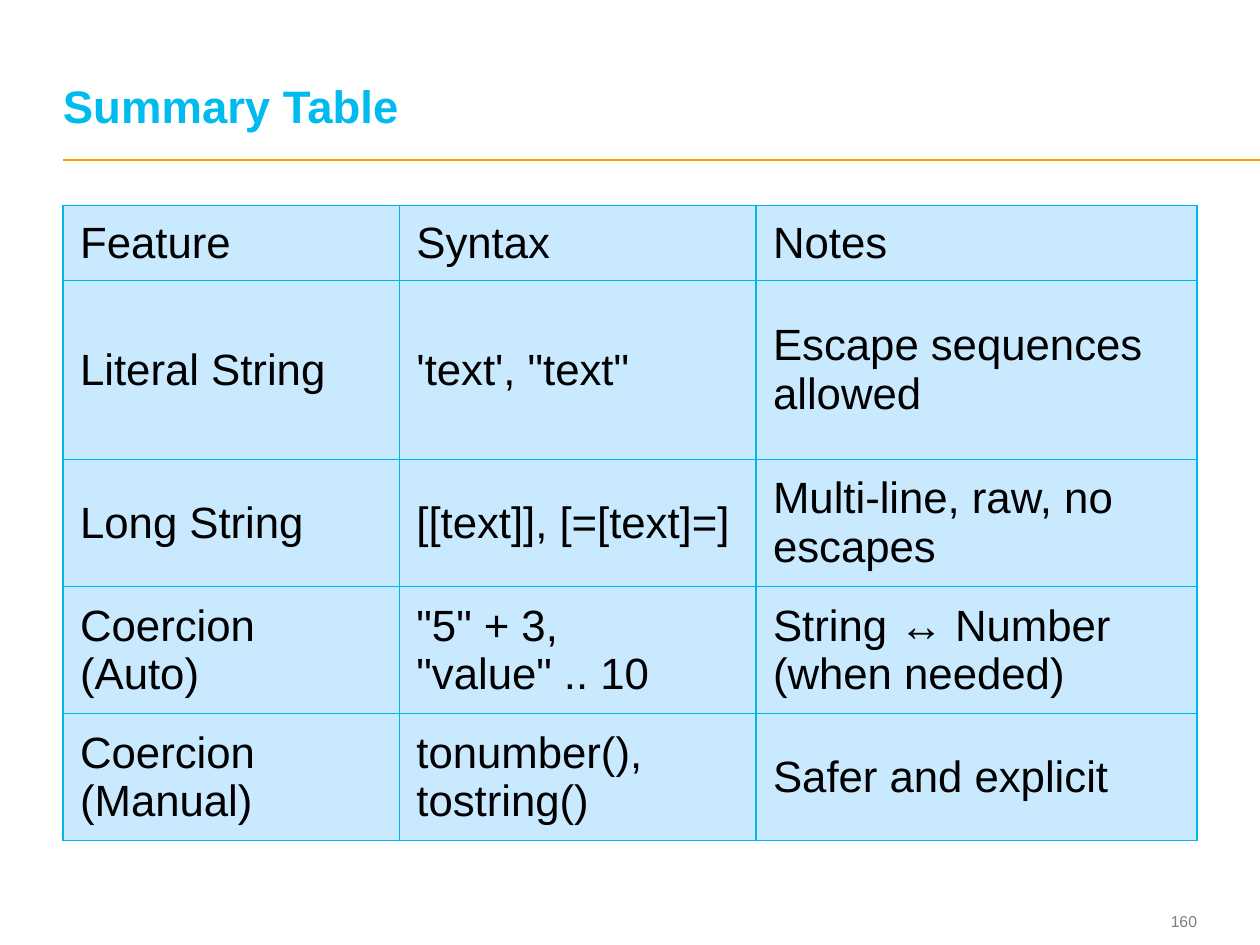
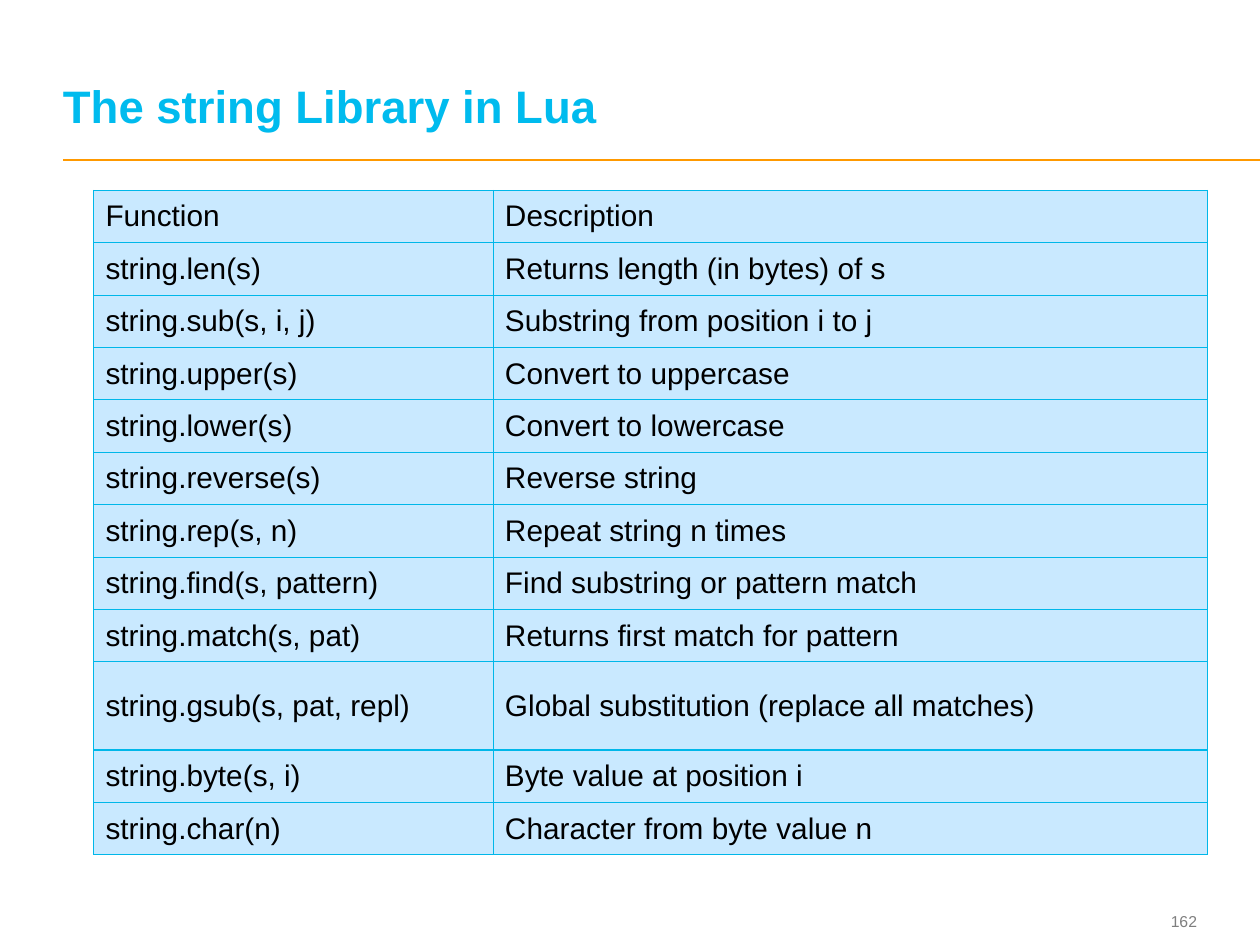
from dataclasses import dataclass

from lxml.etree import SubElement
from pptx import Presentation
from pptx.dml.color import RGBColor
from pptx.enum.shapes import MSO_CONNECTOR
from pptx.enum.text import MSO_ANCHOR, PP_ALIGN
from pptx.oxml.ns import qn
from pptx.util import Pt

SLIDES = [
    {
        "title": "Summary Table",
        "number": "160",
        "at": (36, 117.4),
        "cols": (192.2, 203.8, 252),
        "row_height": 72.6,
        "row_heights": {0: 43, 1: 102.3},
        "size": 25,
        "inset": (9.8, 4.9),
        "rows": [
            ("Feature", "Syntax", "Notes"),
            ("Literal String", "'text', \"text\"", "Escape sequences allowed"),
            ("Long String", "[[text]], [=[text]=]", "Multi-line, raw, no escapes"),
            ("Coercion (Auto)", '"5" + 3, "value" .. 10', "String ↔ Number (when needed)"),
            ("Coercion (Manual)", "tonumber(), tostring()", "Safer and explicit"),
        ],
    },
    {
        "title": "The string Library in Lua",
        "number": "162",
        "at": (53.6, 108.8),
        "cols": (228.3, 408.2),
        "row_height": 29.94,
        "row_heights": {9: 50.4},
        "size": 17,
        "inset": (6.7, 3.4),
        "rows": [
            ("Function", "Description"),
            ("string.len(s)", "Returns length (in bytes) of s"),
            ("string.sub(s, i, j)", "Substring from position i to j"),
            ("string.upper(s)", "Convert to uppercase"),
            ("string.lower(s)", "Convert to lowercase"),
            ("string.reverse(s)", "Reverse string"),
            ("string.rep(s, n)", "Repeat string n times"),
            ("string.find(s, pattern)", "Find substring or pattern match"),
            ("string.match(s, pat)", "Returns first match for pattern"),
            ("string.gsub(s, pat, repl)", "Global substitution (replace all matches)"),
            ("string.byte(s, i)", "Byte value at position i"),
            ("string.char(n)", "Character from byte value n"),
        ],
    },
]


@dataclass(frozen=True)
class Theme:
    font: str = "Arial"
    title: str = "00BBEE"
    rule: str = "FF9900"
    border: str = "00B7E9"
    cell: str = "C9E9FF"
    text: str = "000000"
    number: str = "7F7F7F"
    title_size: float = 26
    number_size: float = 9
    rule_width: float = 1
    border_width: float = 0.75


THEME = Theme()
WIDTH, HEIGHT = 720, 540
MARGIN = 36
RULE_Y = 91.4


def write(tf, text, *, size, color, bold=False, align=PP_ALIGN.LEFT, spacing=None):
    p = tf.paragraphs[0]
    p.alignment = align
    if spacing:
        p.line_spacing = Pt(spacing)
    r = p.add_run()
    r.text = text
    r.font.name = THEME.font
    r.font.size = Pt(size)
    r.font.bold = bold
    r.font.color.rgb = RGBColor.from_string(color)


def add_text(s, text, box, anchor, **fmt):
    tf = s.shapes.add_textbox(*map(Pt, box)).text_frame
    tf.word_wrap = True
    tf.vertical_anchor = anchor
    tf.margin_left = tf.margin_top = tf.margin_right = tf.margin_bottom = 0
    write(tf, text, **fmt)


def add_frame(s, title, number):
    """Add the rule, page number and title that every slide carries."""
    rule = s.shapes.add_connector(
        MSO_CONNECTOR.STRAIGHT, Pt(MARGIN), Pt(RULE_Y), Pt(WIDTH), Pt(RULE_Y))
    rule.line.color.rgb = RGBColor.from_string(THEME.rule)
    rule.line.width = Pt(THEME.rule_width)
    SubElement(rule._element.spPr, qn("a:effectLst"))
    add_text(s, number, (641.5, 517, 42.5, 19.4), MSO_ANCHOR.MIDDLE,
             size=THEME.number_size, color=THEME.number, align=PP_ALIGN.RIGHT)
    add_text(s, title, (MARGIN, 13.7, 645.8, 61.9), MSO_ANCHOR.BOTTOM,
             size=THEME.title_size, color=THEME.title, bold=True,
             spacing=THEME.title_size)


def set_borders(cell):
    tc_pr = cell._tc.get_or_add_tcPr()
    for side in ("lnL", "lnR", "lnT", "lnB"):
        ln = SubElement(tc_pr, qn(f"a:{side}"), w=str(Pt(THEME.border_width)))
        fill = SubElement(ln, qn("a:solidFill"))
        SubElement(fill, qn("a:srgbClr"), val=THEME.border)


def style_cell(cell, inset):
    set_borders(cell)
    cell.fill.solid()
    cell.fill.fore_color.rgb = RGBColor.from_string(THEME.cell)
    cell.vertical_anchor = MSO_ANCHOR.MIDDLE
    cell.margin_left = cell.margin_right = Pt(inset[0])
    cell.margin_top = cell.margin_bottom = Pt(inset[1])


def add_grid(s, data):
    rows, cols = data["rows"], data["cols"]
    heights = [data["row_heights"].get(i, data["row_height"]) for i in range(len(rows))]
    left, top = data["at"]
    table = s.shapes.add_table(len(rows), len(cols), Pt(left), Pt(top),
                               Pt(sum(cols)), Pt(sum(heights))).table
    table.first_row = table.horz_banding = False
    for col, width in zip(table.columns, cols):
        col.width = Pt(width)
    for row, height, texts in zip(table.rows, heights, rows):
        row.height = Pt(height)
        for cell, text in zip(row.cells, texts):
            style_cell(cell, data["inset"])
            write(cell.text_frame, text, size=data["size"], color=THEME.text)


def main():
    prs = Presentation()
    prs.slide_width, prs.slide_height = Pt(WIDTH), Pt(HEIGHT)
    for data in SLIDES:
        s = prs.slides.add_slide(prs.slide_layouts[6])
        add_frame(s, data["title"], data["number"])
        add_grid(s, data)
    prs.save("out.pptx")


if __name__ == "__main__":
    main()
